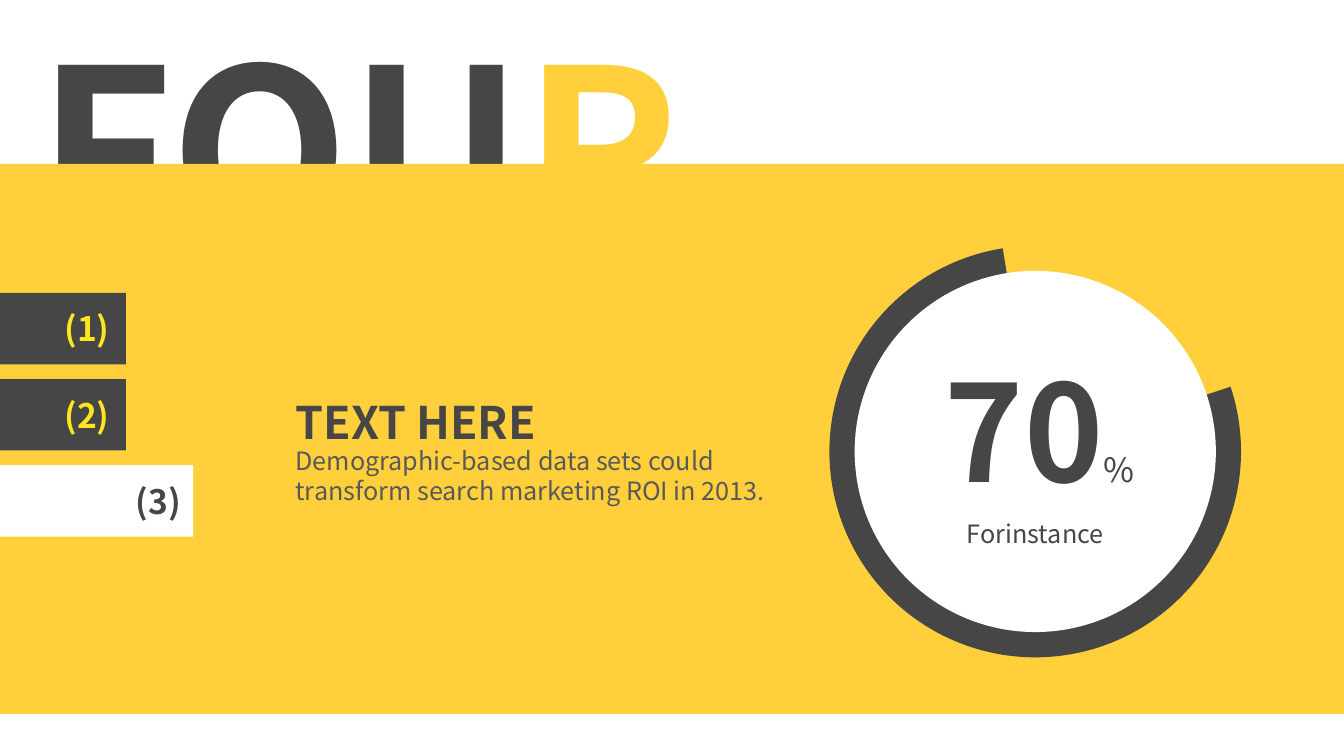
from dataclasses import dataclass

from pptx import Presentation
from pptx import util as u
from pptx.dml.color import RGBColor
from pptx.enum import shapes, text


@dataclass(frozen=True)
class Theme:
    font: str = "Noto Sans CJK SC"
    dark: str = "464646"
    gray: str = "595959"
    yellow: str = "FFD03B"
    bright: str = "FFE51E"
    white: str = "FFFFFF"
    banner: int = 166
    figure: int = 96
    heading: int = 32
    label: int = 24
    body: int = 18


THEME = Theme()
RECTANGLE = shapes.MSO_SHAPE.RECTANGLE
OVAL = shapes.MSO_SHAPE.OVAL
BLOCK_ARC = shapes.MSO_SHAPE.BLOCK_ARC


def px(value):
    return u.Emu(value * 9525)


def place(shape, box):
    shape.left, shape.top, shape.width, shape.height = map(px, box)


def add_block(container, kind, box, color):
    shape = container.add_shape(kind, *map(px, box))
    shape.shadow.inherit = False
    shape.fill.solid()
    shape.fill.fore_color.rgb = RGBColor.from_string(color)
    shape.line.fill.background()
    return shape


def write_runs(shape, runs, align=text.PP_ALIGN.LEFT, wrap=True, spacing=None):
    frame = shape.text_frame
    frame.word_wrap = wrap
    frame.auto_size = text.MSO_AUTO_SIZE.NONE
    frame.vertical_anchor = text.MSO_ANCHOR.TOP
    paragraph = frame.paragraphs[0]
    paragraph.alignment = align
    if spacing:
        paragraph.line_spacing = u.Pt(spacing)
    for content, size, color, bold in runs:
        run = paragraph.add_run()
        run.text = content
        run.font.name = THEME.font
        run.font.size = u.Pt(size)
        run.font.bold = bold
        run.font.color.rgb = RGBColor.from_string(color)


def add_label(container, box, runs, **options):
    write_runs(container.add_textbox(*map(px, box)), runs, **options)


def add_title(slide):
    title = slide.shapes.title
    place(title, (26, 0, 668, 277))
    write_runs(title, [("FOU", THEME.banner, THEME.dark, True),
                       ("R", THEME.banner, THEME.yellow, True)])


def add_tabs(slide):
    tabs = [("(1)", 120, 52, THEME.dark, THEME.bright),
            ("(2)", 120, 52, THEME.dark, THEME.bright),
            ("(3)", 184, 120, THEME.white, THEME.dark)]
    for index, (number, width, left, fill, color) in enumerate(tabs):
        top = 279 + 82 * index
        add_block(slide.shapes, RECTANGLE, (0, top, width, 68), fill)
        add_label(slide.shapes, (left, top + 10, 82, 48),
                  [(number, THEME.label, color, True)])


def add_message(slide):
    add_label(slide.shapes, (272, 371, 297, 61),
              [("TEXT HERE", THEME.heading, THEME.dark, True)])
    add_label(slide.shapes, (272, 419, 506, 68),
              [("Demographic-based data sets could transform search "
                "marketing ROI in 2013.", THEME.body, THEME.gray, False)])


def add_gauge(slide):
    arc = add_block(slide.shapes, BLOCK_ARC, (790, 234, 392, 392), THEME.dark)
    arc.rotation = 285.9
    for index, value in enumerate((33.44, 201.01, 0.07)):
        arc.adjustments[index] = value
    dial = slide.shapes.add_group_shape().shapes
    add_block(dial, OVAL, (814, 258, 344, 344), THEME.white)
    centered = {"align": text.PP_ALIGN.CENTER, "spacing": 60}
    add_label(dial, (851, 400, 278, 90),
              [("70", THEME.figure, THEME.dark, True),
               ("%", THEME.label, THEME.dark, False)], **centered)
    add_label(dial, (909, 438, 154, 90),
              [("Forinstance", THEME.body, THEME.dark, False)],
              wrap=False, **centered)


def main():
    presentation = Presentation()
    presentation.slide_width, presentation.slide_height = px(1280), px(720)
    slide = presentation.slides.add_slide(presentation.slide_layouts[5])
    add_title(slide)
    add_block(slide.shapes, RECTANGLE, (0, 156, 1280, 524), THEME.yellow)
    add_tabs(slide)
    add_message(slide)
    add_gauge(slide)
    presentation.save("out.pptx")


if __name__ == "__main__":
    main()
